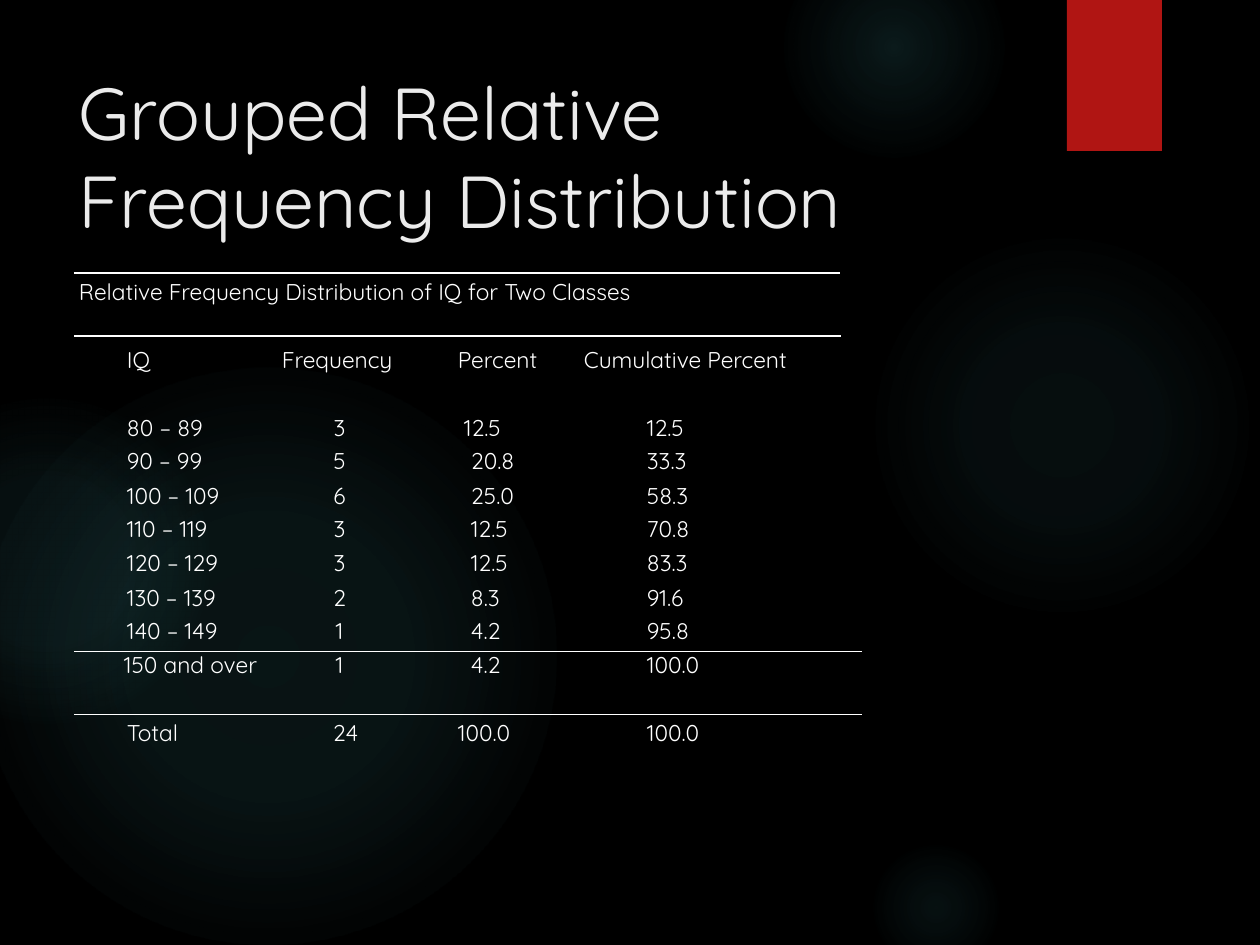
import pptx
import pptx.dml.color
import pptx.enum.shapes
import pptx.enum.text
import pptx.oxml
import pptx.oxml.ns
import pptx.util
from lxml import etree

SCALE = 914400 / 126  # EMU per px
FONT = "Quicksand"
WHITE, TITLE_GREY, RED, GLOW, BLACK = "FFFFFF", "EBEBEB", "B01513", "50B9C1", "000000"
RULE_WIDTH = pptx.util.Pt(0.75)
NO_STYLE = "{2D5ABB26-0587-4C30-8999-92F81FD0307C}"
SHAPES = pptx.enum.shapes.MSO_SHAPE
CENTER = pptx.enum.text.PP_ALIGN.CENTER

# left, top, diameter, then (position %, opacity %) from the centre outwards
GLOWS = [
    (868, 231, 388, [(0, 7), (36, 6), (69, 0)]),
    (784, -63, 220, [(0, 14), (36, 7), (73, 0)]),
    (868, 840, 136, [(0, 9), (36, 5), (66, 0)]),
    (-21, 368, 577, [(0, 11), (36, 10), (75, 0)]),
    (-116, 399, 325, [(0, 8), (36, 8), (72, 0)]),
]

COLUMN_WIDTHS = [202, 153, 135, 277, 21]
ROW_HEIGHTS = [58, 50, 34, 34, 34, 34, 34, 37, 63, 33]
ROW_INSETS = [10, 20, 3, 4, 3, 3, 4, 3, 0, 5]
ROWS = [
    ("IQ", "Frequency", "Percent", "Cumulative Percent"),
    ("80 – 89", "3", "12.5", "12.5"),
    ("90 – 99", "5", "20.8", "33.3"),
    ("100 – 109", "6", "25.0", "58.3"),
    ("110 – 119", "3", "12.5", "70.8"),
    ("120 – 129", "3", "12.5", "83.3"),
    ("130 – 139", "2", "8.3", "91.6"),
    ("140 – 149", "1", "4.2", "95.8"),
    ("150 and over", "1", "4.2", "100.0"),
    ("Total", "24", "100.0", "100.0"),
]
HEADER, FIRST, OPEN_CLASS, TOTAL = 0, 1, 8, 9
INDENTS = [53, 0, 42, 83]
SPECIAL_INDENTS = {
    (HEADER, 1): 6, (HEADER, 2): 29, (HEADER, 3): 20,
    (FIRST, 2): 35, (OPEN_CLASS, 0): 50, (TOTAL, 2): 29,
}


def px(length):
    return pptx.util.Emu(round(length * SCALE))


def color(code):
    return pptx.dml.color.RGBColor.from_string(code)


def write(frame, text, size, code):
    frame.word_wrap = True
    para = frame.paragraphs[0]
    para.text = text
    para.font.name = FONT
    para.font.size = pptx.util.Pt(size)
    para.font.color.rgb = color(code)
    return para


def set_insets(target, left=0, top=0, right=0):
    target.margin_left, target.margin_top = px(left), px(top)
    target.margin_right, target.margin_bottom = px(right), 0


def add_plain_shape(page, kind, left, top, width, height):
    shape = page.shapes.add_shape(kind, px(left), px(top), px(width), px(height))
    shape.shadow.inherit = False
    shape.line.fill.background()
    return shape


def add_glow(page, left, top, diameter, stops):
    shape = add_plain_shape(page, SHAPES.OVAL, left, top, diameter, diameter)
    shape.fill.background()
    stop_xml = "".join(
        f'<a:gs pos="{position * 1000}"><a:srgbClr val="{GLOW}">'
        f'<a:alpha val="{opacity * 1000}"/></a:srgbClr></a:gs>'
        for position, opacity in stops
    )
    gradient = pptx.oxml.parse_xml(
        f'<a:gradFill {pptx.oxml.ns.nsdecls("a")} rotWithShape="1"><a:gsLst>{stop_xml}</a:gsLst>'
        '<a:path path="circle"><a:fillToRect l="50000" t="50000" r="50000" b="50000"/></a:path>'
        "</a:gradFill>"
    )
    properties = shape._element.spPr
    properties.replace(properties.find(pptx.oxml.ns.qn("a:noFill")), gradient)


def add_rule(page, left, top, right):
    rule = page.shapes.add_connector(
        pptx.enum.shapes.MSO_CONNECTOR.STRAIGHT, px(left), px(top), px(right), px(top))
    rule.line.color.rgb = color(WHITE)
    rule.line.width = RULE_WIDTH
    etree.SubElement(rule._element.spPr, pptx.oxml.ns.qn("a:effectLst"))


def add_border(cell, side):
    border = pptx.oxml.parse_xml(
        f'<a:{side} {pptx.oxml.ns.nsdecls("a")} w="{RULE_WIDTH}"><a:solidFill>'
        f'<a:srgbClr val="{WHITE}"/></a:solidFill></a:{side}>'
    )
    properties = cell._tc.get_or_add_tcPr()
    # Borders come before the fill
    properties.insert(len(properties) - 1, border)


def add_frequency_table(page, left, top):
    frame = page.shapes.add_table(
        len(ROWS), len(COLUMN_WIDTHS), px(left), px(top),
        px(sum(COLUMN_WIDTHS)), px(sum(ROW_HEIGHTS)))
    table = frame.table
    table.first_row = table.horz_banding = False
    table._tbl.tblPr[0].text = NO_STYLE
    for column, width in zip(table.columns, COLUMN_WIDTHS):
        column.width = px(width)
    for row, height in zip(table.rows, ROW_HEIGHTS):
        row.height = px(height)

    # Spacer column beside the classes
    last = len(COLUMN_WIDTHS) - 1
    table.cell(HEADER, last).merge(table.cell(OPEN_CLASS - 1, last))

    for r, values in enumerate(ROWS):
        for c in range(len(COLUMN_WIDTHS)):
            cell = table.cell(r, c)
            cell.fill.background()
            set_insets(cell, top=ROW_INSETS[r])
            if r in (OPEN_CLASS, TOTAL) or (r == HEADER and c < last):
                add_border(cell, "lnT")
            if r in (OPEN_CLASS - 1, OPEN_CLASS) or (r == HEADER and c == last):
                add_border(cell, "lnB")
            if c == last:
                cell.text_frame.paragraphs[0].font.size = pptx.util.Pt(13)
                continue
            para = write(cell.text_frame, values[c], 13, WHITE)
            cell.margin_left = px(SPECIAL_INDENTS.get((r, c), INDENTS[c]))
            if c == 1 and r != HEADER:
                para.alignment = CENTER
                cell.margin_right = px(14 if r == TOTAL else 26)


def main():
    deck = pptx.Presentation()
    deck.slide_width, deck.slide_height = px(1260), px(945)
    page = deck.slides.add_slide(deck.slide_layouts[5])
    page.background.fill.solid()
    page.background.fill.fore_color.rgb = color(BLACK)

    # Backdrop
    for glow in GLOWS:
        add_glow(page, *glow)
    tab = add_plain_shape(page, SHAPES.RECTANGLE, 1067, 0, 95, 151)
    tab.fill.solid()
    tab.fill.fore_color.rgb = color(RED)

    # Title, above the backdrop
    title = page.shapes.title
    title.left, title.top, title.width, title.height = px(78), px(66), px(790), px(180)
    page.shapes._spTree.append(title._element)
    para = write(title.text_frame, "Grouped Relative Frequency Distribution", 42, TITLE_GREY)
    para.alignment = pptx.enum.text.PP_ALIGN.LEFT
    set_insets(title.text_frame, left=1, top=1)
    title.text_frame.vertical_anchor = pptx.enum.text.MSO_ANCHOR.TOP
    title.text_frame.auto_size = pptx.enum.text.MSO_AUTO_SIZE.NONE

    # Table with its caption
    caption = page.shapes.add_textbox(px(78), px(277), px(572), px(30))
    write(caption.text_frame, "Relative Frequency Distribution of IQ for Two Classes", 13, WHITE)
    set_insets(caption.text_frame, left=1, top=1)
    add_frequency_table(page, 74, 336)
    add_rule(page, 74, 273, 840)

    deck.save("out.pptx")


if __name__ == "__main__":
    main()
